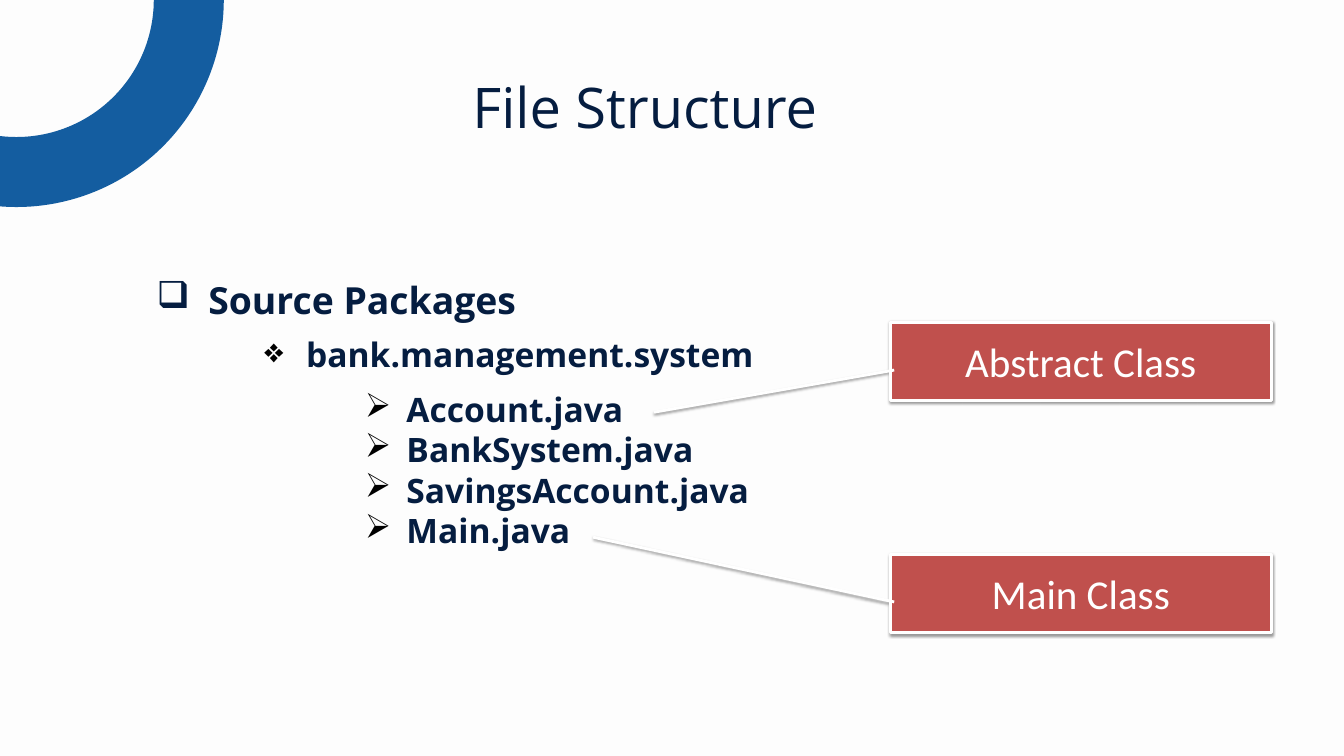
import pptx
import pptx.util
import pptx.dml.color
import pptx.enum.shapes
import pptx.enum.text
import pptx.oxml
import pptx.oxml.ns

Inches = pptx.util.Inches
Pt = pptx.util.Pt
Shape = pptx.enum.shapes.MSO_SHAPE
Align = pptx.enum.text.PP_ALIGN

COLORS = {
    "page": "FDFDFD",
    "ring": "145DA0",
    "ink": "051D40",
    "mark": "000000",
    "box": "C0504D",
    "white": "FFFFFF",
}


def color(name):
    return pptx.dml.color.RGBColor.from_string(COLORS[name])


class Deck:
    """Holds the fonts and the slide being drawn."""

    head = "Open Sans"
    body = "Calibri"

    def __init__(self, slide):
        self.slide = slide
        fill = slide.background.fill
        fill.solid()
        fill.fore_color.rgb = color("page")

    def style(self, para, size, font, tint, bold=False):
        for run in para.runs:
            run.font.size = Pt(size)
            run.font.name = font
            run.font.bold = bold
            run.font.color.rgb = color(tint)

    def ring(self, left, top, size, width):
        ring = self.slide.shapes.add_shape(
            Shape.OVAL, Inches(left), Inches(top), Inches(size), Inches(size))
        ring.shadow.inherit = False
        ring.fill.background()
        ring.line.color.rgb = color("ring")
        ring.line.width = Pt(width)

    def text(self, place, lines, size, bold=False, inset=True, wrap=True):
        box = self.slide.shapes.add_textbox(*map(Inches, place))
        frame = box.text_frame
        frame.text = "\n".join(lines)
        frame.word_wrap = wrap
        frame.auto_size = pptx.enum.text.MSO_AUTO_SIZE.SHAPE_TO_FIT_TEXT
        if not inset:
            frame.margin_left = frame.margin_right = 0
            frame.margin_top = frame.margin_bottom = 0
        for para in frame.paragraphs:
            self.style(para, size, self.head, "ink", bold)
        return frame.paragraphs

    def bullet(self, paras, sign, indent=0.62, tint="mark"):
        """Hang each paragraph behind a bullet sign."""
        for para in paras:
            props = para._p.get_or_add_pPr()
            props.set("marL", str(Inches(indent)))
            props.set("indent", str(-Inches(indent)))
            space = pptx.oxml.ns.nsdecls("a")
            for xml in (
                f'<a:buClr {space}><a:srgbClr val="{COLORS[tint]}"/></a:buClr>',
                f'<a:buChar {space} char="{sign}"/>',
            ):
                props.append(pptx.oxml.parse_xml(xml))

    def callout(self, top, label, tip):
        """Draw a labelled box; tip is the pointer end as (y, x) shares of it."""
        box = self.slide.shapes.add_shape(
            Shape.LINE_CALLOUT_1,
            Inches(13.25), Inches(top), Inches(5.67), Inches(1.16))
        for i, share in enumerate((0.61, 0.01) + tip):
            box.adjustments[i] = share
        box.fill.solid()
        box.fill.fore_color.rgb = color("box")
        box.line.color.rgb = color("white")
        box.line.width = Pt(3)
        self.shade(box)
        frame = box.text_frame
        frame.text = label
        frame.vertical_anchor = pptx.enum.text.MSO_ANCHOR.MIDDLE
        para = frame.paragraphs[0]
        para.alignment = Align.CENTER
        self.style(para, 44, self.body, "white")

    def shade(self, shape):
        """Give the shape a soft shadow straight below it."""
        shape.shadow.inherit = False
        effects = shape._element.spPr.find(pptx.oxml.ns.qn("a:effectLst"))
        effects.append(pptx.oxml.parse_xml(
            f'<a:outerShdw {pptx.oxml.ns.nsdecls("a")} blurRad="{Pt(3.1)}" '
            f'dist="{Pt(1.6)}" dir="5400000" rotWithShape="0">'
            f'<a:srgbClr val="{COLORS["mark"]}"><a:alpha val="38000"/>'
            '</a:srgbClr></a:outerShdw>'))


def main():
    prs = pptx.Presentation()
    prs.slide_width = Inches(20)
    prs.slide_height = Inches(11.25)
    deck = Deck(prs.slides.add_slide(prs.slide_layouts[6]))

    deck.ring(-2.32, -2.57, 5.13, 75)
    title = deck.text((7.03, 1.2, 5.94, 0.88), ["File Structure"], 60, inset=False)
    title[0].line_spacing = Pt(63)

    source = deck.text((2.33, 4.12, 10.92, 0.67), ["Source Packages"], 40,
                       bold=True, inset=False)
    deck.bullet(source, "❑", indent=0.77, tint="ink")

    files = ["Account.java", "BankSystem.java", "SavingsAccount.java", "Main.java"]
    deck.bullet(deck.text((5.33, 5.74, 7.19, 2.52), files, 36, bold=True), "➢")

    package = deck.text((3.67, 4.92, 7.81, 0.71), ["bank.management.system"], 36,
                        bold=True, wrap=False)
    package[0].alignment = Align.CENTER
    deck.bullet(package, "❖")

    deck.callout(4.8, "Abstract Class", (1.15, -0.62))
    deck.callout(8.25, "Main Class", (-0.22, -0.78))
    prs.save("out.pptx")


if __name__ == "__main__":
    main()
